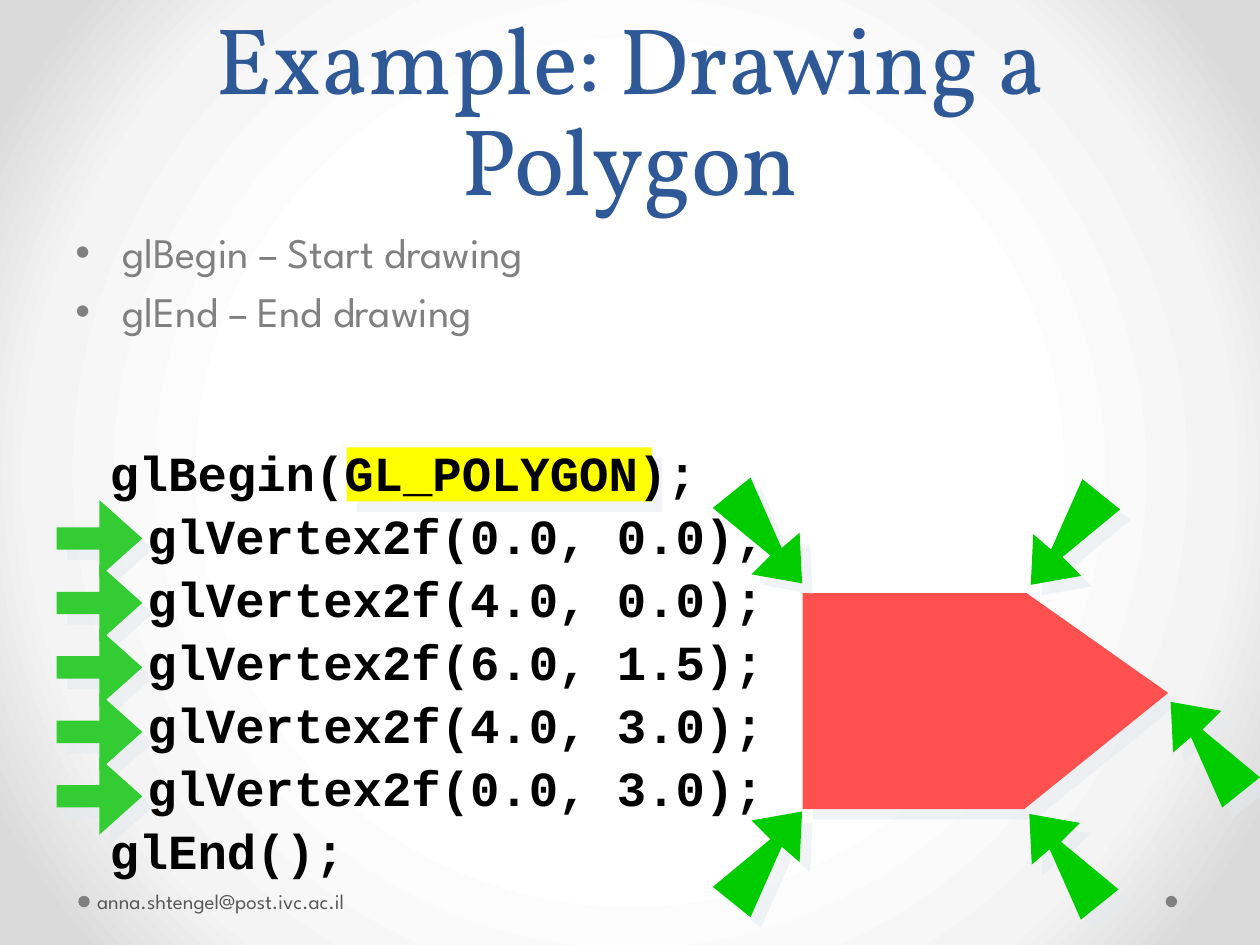
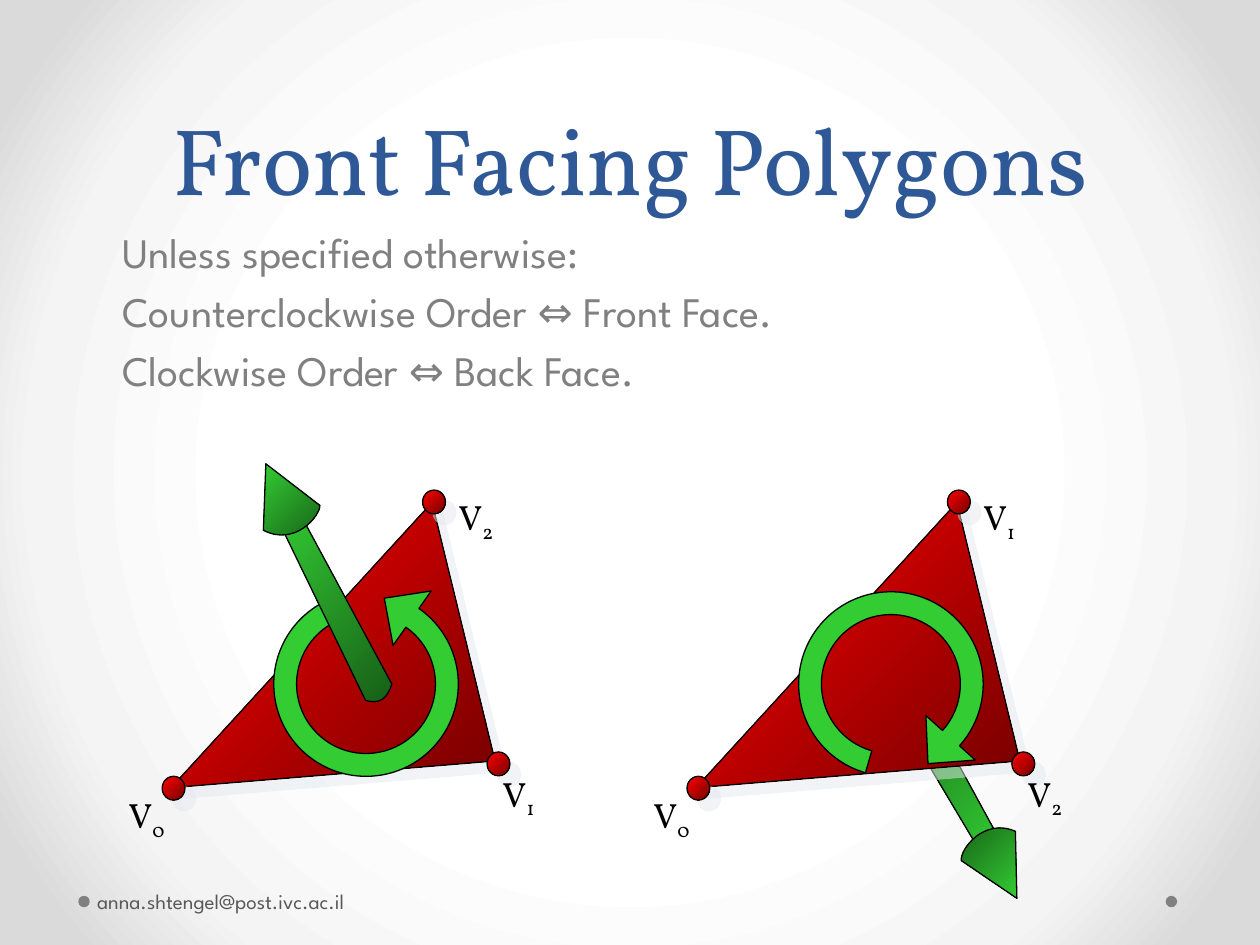
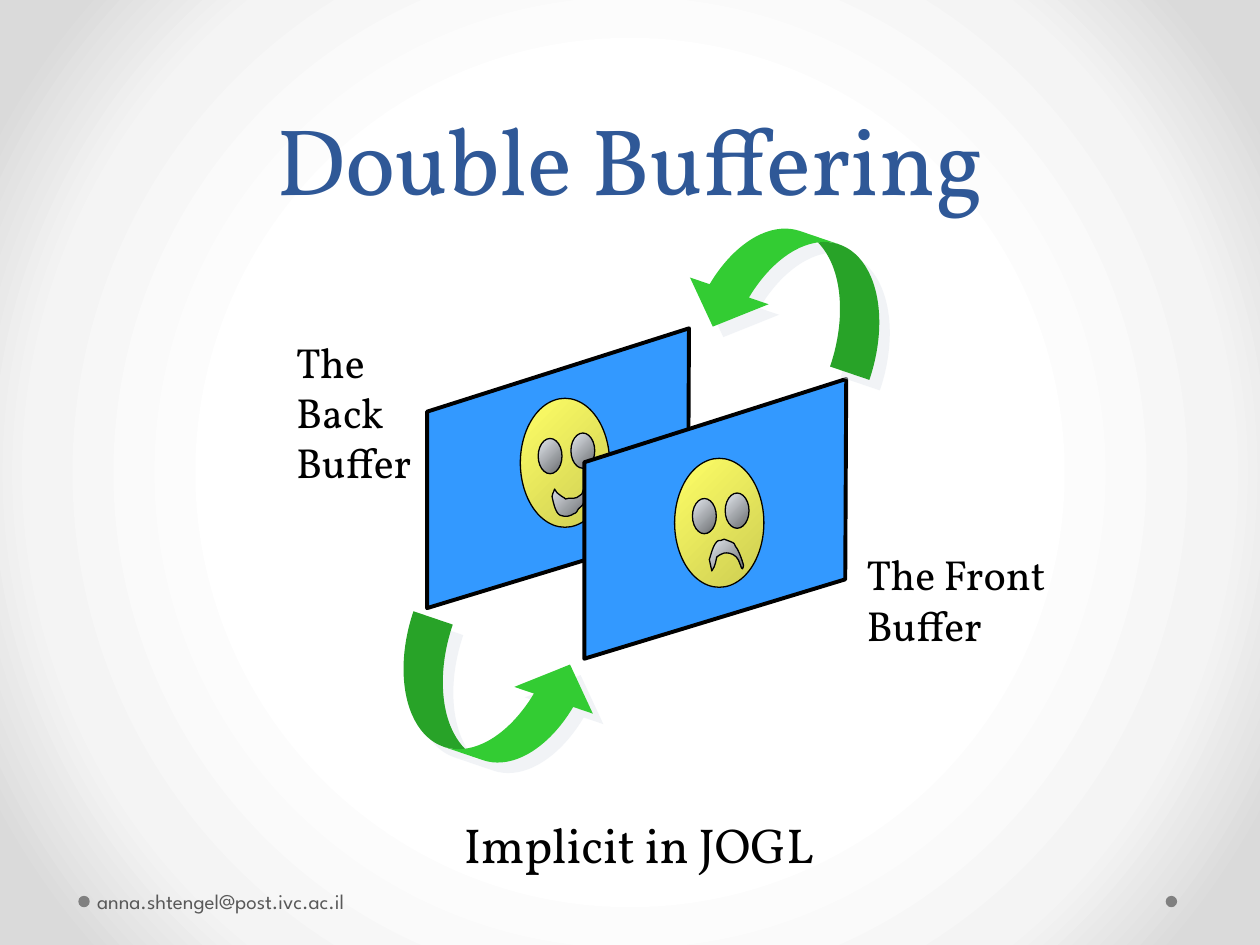
"""Build three slides on drawing polygons, front faces and double buffering."""
from math import atan, cos, degrees, hypot, radians, sin, tan

from pptx import Presentation
from pptx.dml.color import RGBColor
from pptx.enum.shapes import MSO_SHAPE as PRESET
from pptx.enum.text import MSO_ANCHOR as ANCHOR, MSO_AUTO_SIZE as AUTO, PP_ALIGN as ALIGN
from pptx.oxml import parse_xml
from pptx.oxml.ns import nsdecls, qn
from pptx.util import Cm, Pt

BLACK = RGBColor(0x00, 0x00, 0x00)
TITLE_BLUE = RGBColor(0x2F, 0x58, 0x97)
GREY = RGBColor(0x80, 0x80, 0x80)
FOOTER_GREY = RGBColor(0x59, 0x59, 0x59)
YELLOW = RGBColor(0xFF, 0xFF, 0x00)
CORAL = RGBColor(0xFF, 0x50, 0x50)
GREEN = RGBColor(0x33, 0xCC, 0x33)
DARK_GREEN = RGBColor(0x17, 0x5E, 0x17)
VIVID_GREEN = RGBColor(0x00, 0xCC, 0x00)
RED = RGBColor(0xFF, 0x00, 0x00)
DARK_RED = RGBColor(0x76, 0x00, 0x00)
SCREEN_BLUE = RGBColor(0x33, 0x99, 0xFF)
SKIN = RGBColor(0xFF, 0xFF, 0x66)
DARK_SKIN = RGBColor(0xCC, 0xCC, 0x52)
SILVER = RGBColor(0xE4, 0xE9, 0xEF)
DARK_SILVER = RGBColor(0x6A, 0x6C, 0x6F)

SERIF = "Vollkorn"
SANS = "League Spartan"
MONO = "Courier New"

BACKGROUND = f"""<p:bg {nsdecls("p", "a")}><p:bgPr><a:gradFill rotWithShape="1"><a:gsLst>
<a:gs pos="50000"><a:srgbClr val="FFFFFF"/></a:gs>
<a:gs pos="76000"><a:srgbClr val="F4F4F4"/></a:gs>
<a:gs pos="92000"><a:srgbClr val="DADADA"/></a:gs></a:gsLst>
<a:path path="circle"><a:fillToRect l="50000" t="50000" r="50000" b="50000"/></a:path>
</a:gradFill><a:effectLst/></p:bgPr></p:bg>"""
SHADOW = f"""<a:outerShdw {nsdecls("a")} dist="107950" dir="2700000" algn="ctr" rotWithShape="0">
<a:srgbClr val="{SILVER}"><a:alpha val="50000"/></a:srgbClr></a:outerShdw>"""


def draw(slide, form, colours, line=0, shadow=False):
    """Add a preset (kind and box) or an outline of points and six-number Bézier curves."""
    if isinstance(form[0], tuple):
        points = [(Cm(step[i]), Cm(step[i + 1])) for step in form for i in range(0, len(step), 2)]
        builder = slide.shapes.build_freeform(*points[0])
        builder.add_line_segments(points[1:], close=True)
        shape = builder.convert_to_shape()
        segments = shape._element.iter(qn("a:lnTo"))
        segments = iter(list(segments))
        for step in form[1:]:
            segment = next(segments)
            if len(step) == 6:
                segment.tag = qn("a:cubicBezTo")
                for extra in (next(segments), next(segments)):
                    segment.append(extra[0])
                    extra.getparent().remove(extra)
    else:
        kind, *box = form
        shape = slide.shapes.add_shape(kind, *map(Cm, box))
    if len(colours) == 1:
        shape.fill.solid()
        shape.fill.fore_color.rgb = colours[0]
    else:
        shape.fill.gradient()
        shape.fill.gradient_angle = 315
        for stop, colour, position in zip(shape.fill.gradient_stops, colours, (0, 1)):
            stop.color.rgb = colour
            stop.position = position
    if line:
        shape.line.color.rgb = BLACK
        shape.line.width = Pt(line)
    else:
        shape.line.fill.background()
    shape.shadow.inherit = False
    if shadow:
        shape._element.spPr.find(qn("a:effectLst")).append(parse_xml(SHADOW))
    return shape


def write(slide, box, text, font, size, colour=BLACK, bold=False):
    """Add a wrapping text box and return its frame."""
    frame = slide.shapes.add_textbox(*map(Cm, box)).text_frame
    frame.word_wrap = True
    frame.text = text
    for paragraph in frame.paragraphs:
        style = paragraph.runs[0].font
        style.name, style.size, style.bold = font, Pt(size), bold
        style.color.rgb = colour
    return frame


deck = Presentation()
deck.slide_width, deck.slide_height = Cm(25.4), Cm(19.05)
master_content = deck.slide_master.element.find(qn("p:cSld"))
master_content.remove(master_content.find(qn("p:bg")))
master_content.insert(0, parse_xml(BACKGROUND))

slides = []
for heading in ("Example: Drawing a Polygon", "Front Facing Polygons", "Double Buffering"):
    slide = deck.slides.add_slide(deck.slide_layouts[5])
    slides.append(slide)
    title = slide.shapes.title
    title.left, title.top, title.width, title.height = Cm(1.27), Cm(0), Cm(22.86), Cm(4.45)
    title.text_frame.text = heading
    title.text_frame.auto_size = AUTO.NONE
    title.text_frame.vertical_anchor = ANCHOR.BOTTOM
    title_line = title.text_frame.paragraphs[0]
    title_line.alignment, title_line.line_spacing = ALIGN.CENTER, Pt(58)
    style = title_line.runs[0].font
    style.name, style.size = SERIF, Pt(54)
    style.color.rgb = TITLE_BLUE
    for dot_left in (1.58, 23.5):
        draw(slide, (PRESET.OVAL, dot_left, 18.06, 0.23, 0.23), [GREY])
    footer = write(slide, (1.83, 17.65, 7.9, 1.02), "anna.shtengel@post.ivc.ac.il",
                   SANS, 12, FOOTER_GREY)
    footer.margin_left = Cm(0.13)
    footer.vertical_anchor = ANCHOR.MIDDLE
polygon_slide, facing_slide, buffer_slide = slides

back_normal = [
    [(20.24, 17.09), (18.26, 13.46), (17.98, 13.39, 17.81, 13.51, 17.75, 13.79), (19.84, 17.3)],
    [(20.47, 16.76), (19.84, 16.48, 19.35, 17.12, 19.38, 17.35), (20.5, 18.11)],
]
for part in back_normal:
    draw(facing_slide, part, [DARK_GREEN, GREEN], 0.75)

bodies = [
    (polygon_slide, True, "glBegin – Start drawing\nglEnd – End drawing"),
    (facing_slide, False, "Unless specified otherwise:\n"
     "Counterclockwise Order ⇔ Front Face.\nClockwise Order ⇔ Back Face."),
]
for slide, bulleted, text in bodies:
    body = write(slide, (1.27, 4.45, 22.86, 12.57), text, SANS, 24, GREY)
    for paragraph in body.paragraphs:
        settings = paragraph._p.get_or_add_pPr()
        settings.set("marL", str(Cm(0.95)))
        settings.append(parse_xml(
            f'<a:spcBef {nsdecls("a")}><a:spcPct val="20000"/></a:spcBef>'))
        if bulleted:
            settings.set("indent", str(-Cm(0.95)))
            settings.append(parse_xml(f'<a:buFont {nsdecls("a")} typeface="Arial"/>'))
            settings.append(parse_xml(f'<a:buChar {nsdecls("a")} char="•"/>'))

draw(polygon_slide, (PRESET.RECTANGLE, 6.99, 9.02, 6.15, 1.09), [YELLOW], shadow=True)
vertices = ["0.0, 0.0", "4.0, 0.0", "6.0, 1.5", "4.0, 3.0", "0.0, 3.0"]
calls = [f"glVertex2f({vertex});" for vertex in vertices]
code = write(polygon_slide, (1.96, 8.71, 14.12, 9.5),
             "\n".join(["glBegin(GL_POLYGON);", *calls, "glEnd();"]), MONO, 28, bold=True)
for paragraph in code.paragraphs:
    paragraph.line_spacing = Pt(36)
for paragraph in code.paragraphs[1:-1]:
    paragraph._p.get_or_add_pPr().set("marL", str(Cm(0.76)))

draw(polygon_slide, [(16.18, 11.96), (20.7, 11.96), (23.55, 13.97), (20.65, 16.31),
                     (16.18, 16.31)], [CORAL], shadow=True)
for row in range(len(vertices)):
    pointer = draw(polygon_slide, (PRESET.RIGHT_ARROW, 1.14, 10.08 + 1.3 * row, 1.73, 1.55),
                   [GREEN], shadow=True)
    pointer.adjustments[0], pointer.adjustments[1] = 0.29, 0.56

corner_arrow = [(1.8, 1.52), (0.64, 0.56), (1.02, 0.18), (0, 0), (0.05, 1.02), (0.41, 0.71),
                (1.04, 2.13)]
corner_tips = [(16.17, 16.36, -1, 1), (20.75, 16.41, 1, 1), (23.6, 14.15, 1, 1),
               (20.78, 11.79, 1, -1), (16.17, 11.76, -1, -1)]
for tip_x, tip_y, side_x, side_y in corner_tips:
    draw(polygon_slide, [(tip_x + side_x * x, tip_y + side_y * y) for x, y in corner_arrow],
         [VIVID_GREEN], shadow=True)

ARC = 74
handle = 4 / 3 * tan(radians(ARC / 4))
reach, lead = hypot(1, handle), degrees(atan(handle))
ring = [[(1.4, 0)]]
for arc in range(4):
    ring.append([(1.4 * reach, ARC * arc + lead), (1.4 * reach, ARC * (arc + 1) - lead),
                 (1.4, ARC * (arc + 1))])
ring.append([(1.86, 4 * ARC)])
for arc in reversed(range(4)):
    ring.append([(1.86 * reach, ARC * (arc + 1) - lead), (1.86 * reach, ARC * arc + lead),
                 (1.86, ARC * arc)])
ring += [[(2.29, 0)], [(1.77, -23)], [(0.95, 0)]]

triangle = [(3.45, 15.88), (9.98, 15.34), (8.71, 10.13)]
dot_centres = [(3.5, 15.89), (10.05, 15.4), (8.75, 10.12)]
label_places = [(2.34, 15.88), (9.88, 15.44), (8.99, 9.87)]
for shift, indices, start, turn in [(0, "012", -55, 1), (10.58, "021", 42, -1)]:
    draw(facing_slide, [(x + shift, y) for x, y in triangle], [RED, DARK_RED], 0.75, True)
    for x, y in dot_centres:
        draw(facing_slide, (PRESET.OVAL, x + shift - 0.23, y - 0.24, 0.46, 0.48),
             [RED, DARK_RED], 0.75, True)
    for (x, y), index in zip(label_places, indices):
        label = write(facing_slide, (x + shift, y, 1.47, 1.09), "V", SERIF, 20)
        subscript = label.paragraphs[0].add_run()
        subscript.text = index
        subscript.font.name, subscript.font.size = SERIF, Pt(20)
        subscript.font.color.rgb = BLACK
        subscript.font._element.set("baseline", "-25000")
    turned_ring = []
    for step in ring:
        place = ()
        for radius, angle in step:
            heading = radians(start + turn * angle)
            place += (7.38 + shift + radius * cos(heading), 13.79 + radius * sin(heading))
        turned_ring.append(place)
    draw(facing_slide, turned_ring, [GREEN], 0.75)

front_normal = [
    [(5.56, 10.39), (7.37, 14.12), (7.65, 14.2, 7.8, 14.1, 7.9, 13.79), (5.97, 10.21)],
    [(5.31, 10.69), (5.94, 11.02, 6.45, 10.41, 6.45, 10.19), (5.36, 9.35)],
]
for part in front_normal:
    draw(facing_slide, part, [GREEN, DARK_GREEN], 0.75)

screen = [(0, 0), (5.28, -1.68), (5.26, 2.36), (0, 3.96)]
smile = [(11.18, 9.86), (11.25, 9.96, 11.2, 9.91, 11.33, 10.01),
         (11.35, 10.01, 11.4, 10.06, 11.4, 10.06), (11.48, 10.03, 11.56, 10.06, 11.63, 10.03),
         (11.66, 10.01, 11.73, 9.96, 11.73, 9.96), (11.76, 9.88, 11.79, 9.75, 11.84, 9.88),
         (11.81, 10.01, 11.79, 10.19, 11.66, 10.26), (11.63, 10.31, 11.63, 10.34, 11.56, 10.36),
         (11.53, 10.39, 11.43, 10.41, 11.43, 10.41), (11.4, 10.41, 11.35, 10.41, 11.3, 10.39),
         (11.2, 10.36, 11.15, 10.11, 11.13, 10.01), (11.15, 9.91, 11.15, 9.96, 11.18, 9.86)]
frown = [(14.35, 11.51), (14.43, 11.4, 14.43, 11.3, 14.45, 11.23),
         (14.5, 11.18, 14.6, 11.15, 14.6, 11.15), (14.6, 11.15, 14.68, 11.13, 14.78, 11.18),
         (14.88, 11.23, 14.91, 11.35, 14.91, 11.35), (14.94, 11.4, 14.96, 11.56, 14.99, 11.4),
         (14.96, 11.28, 14.88, 11.07, 14.83, 11.02), (14.81, 10.97, 14.81, 10.95, 14.73, 10.92),
         (14.68, 10.9, 14.6, 10.87, 14.6, 10.87), (14.55, 10.9, 14.5, 10.9, 14.48, 10.9),
         (14.38, 10.95, 14.33, 11.2, 14.3, 11.28), (14.33, 11.38, 14.33, 11.4, 14.35, 11.51)]
buffers = [(8.61, 8.3, 10.49, 8.03, smile), (11.78, 9.32, 13.6, 9.24, frown)]
for screen_x, screen_y, face_x, face_y, mouth in buffers:
    draw(buffer_slide, [(screen_x + x, screen_y + y) for x, y in screen], [SCREEN_BLUE], 2.25)
    draw(buffer_slide, (PRESET.OVAL, face_x, face_y, 1.8, 2.6), [SKIN, DARK_SKIN], 0.75)
    for eye_x, eye_y in [(0.36, 0.81), (1.02, 0.7)]:
        draw(buffer_slide, (PRESET.OVAL, face_x + eye_x, face_y + eye_y, 0.48, 0.71),
             [SILVER, DARK_SILVER], 0.75)
    draw(buffer_slide, mouth, [SILVER, DARK_SILVER], 0.75)

write(buffer_slide, (17.22, 10.94, 4.37, 2.31), "The Front Buffer", SERIF, 24)
write(buffer_slide, (5.72, 6.65, 3.3, 3.33), "The Back Buffer", SERIF, 24)
write(buffer_slide, (9.1, 16.3, 7.8, 1.45), "Implicit in JOGL", SERIF, 28)
for swap_x, swap_y, rotation in [(8.73, 12.04, 288.8), (14.74, 3.77, 108.8)]:
    swap = draw(buffer_slide, (PRESET.CURVED_RIGHT_ARROW, swap_x, swap_y, 2.39, 4.17),
                [GREEN], shadow=True)
    swap.rotation = rotation
    for position, value in enumerate((0.35, 0.7, 0.33)):
        swap.adjustments[position] = value

deck.save("out.pptx")
